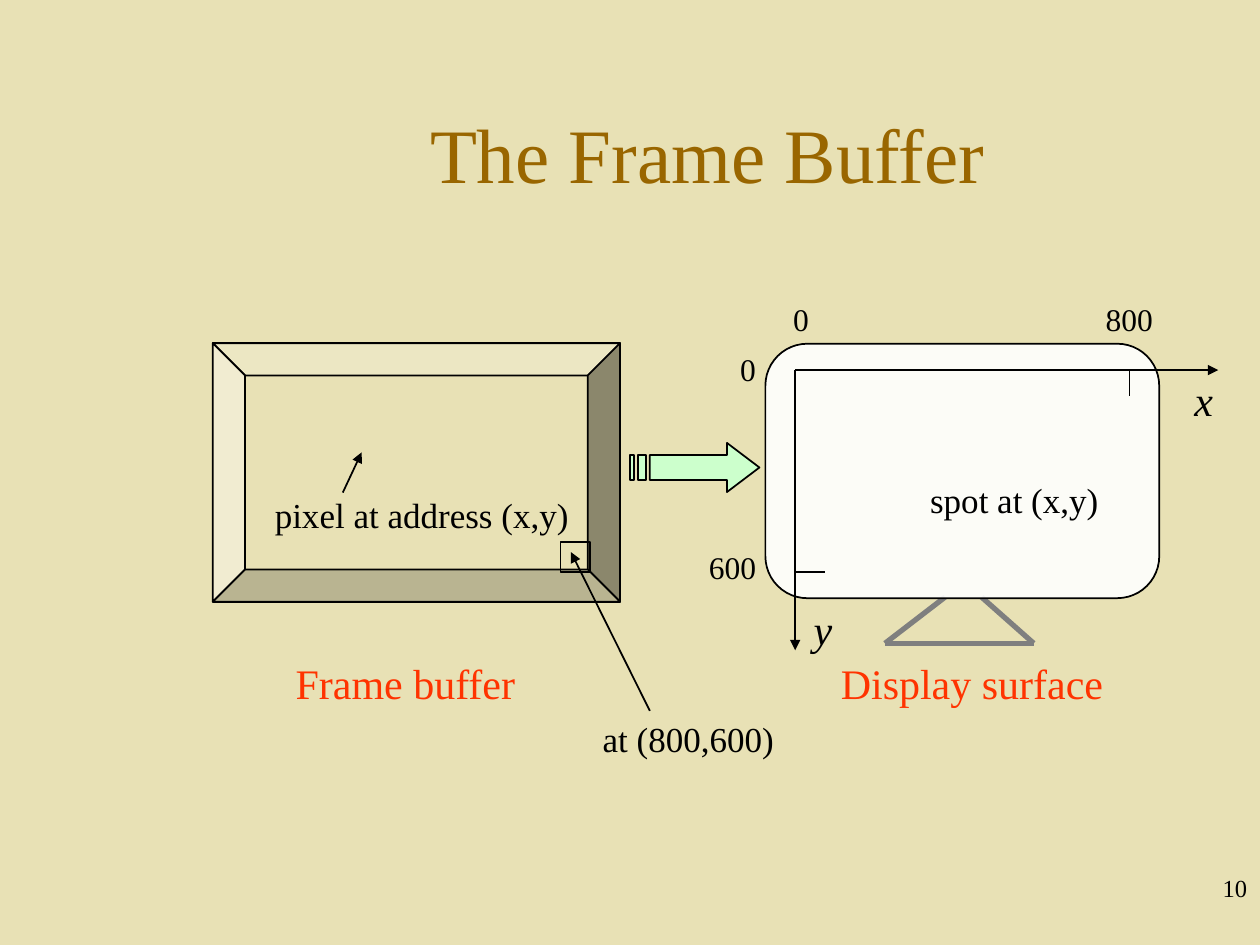
from lxml.etree import SubElement
from pptx import Presentation
from pptx.dml.color import RGBColor
from pptx.enum.shapes import MSO_CONNECTOR, MSO_SHAPE
from pptx.enum.text import PP_ALIGN
from pptx.oxml.ns import qn
from pptx.util import Cm, Pt

COLORS = {
    "background": "E8E1B5", "black": "000000", "title": "996600", "caption": "FF3300",
    "top": "ECE7C3", "right": "8B876C", "bottom": "B9B491", "left": "F1ECD1",
    "stand": "7F7F7F", "screen": "FFFFFF", "arrow": "CCFFCC",
}


def rgb(name):
    return RGBColor.from_string(COLORS[name])


class Diagram:
    font = "Times New Roman"

    def __init__(self, prs):
        self.s = prs.slides.add_slide(prs.slide_layouts[6])
        fill = self.s.background.fill
        fill.solid()
        fill.fore_color.rgb = rgb("background")

    def paint(self, sp, fill=None, alpha=None, line="black", width=1):
        sp.shadow.inherit = False
        sp.line.color.rgb = rgb(line)
        sp.line.width = Pt(width)
        if fill is None:
            sp.fill.background()
            return
        sp.fill.solid()
        sp.fill.fore_color.rgb = rgb(fill)
        if alpha:
            clr = sp.fill._xPr.find(qn("a:solidFill"))[0]
            SubElement(clr, qn("a:alpha"), val=str(alpha * 1000))

    def shape(self, kind, x, y, w, h, fill=None, adj=(), alpha=None):
        sp = self.s.shapes.add_shape(kind, Cm(x), Cm(y), Cm(w), Cm(h))
        for i, value in enumerate(adj):
            sp.adjustments[i] = value
        self.paint(sp, fill, alpha)

    def freeform(self, contours, close=True, **style):
        paths = [[(Cm(x), Cm(y)) for x, y in points] for points in contours]
        fb = self.s.shapes.build_freeform(*paths[0][0], scale=1.0)
        for i, points in enumerate(paths):
            if i:
                fb.move_to(*points[0])
            fb.add_line_segments(points[1:], close=close)
        self.paint(fb.convert_to_shape(), **style)

    def line(self, x1, y1, x2, y2, arrow=False):
        cn = self.s.shapes.add_connector(MSO_CONNECTOR.STRAIGHT, Cm(x1), Cm(y1), Cm(x2), Cm(y2))
        cn.line.color.rgb = rgb("black")
        cn.line.width = Pt(1)
        if arrow:
            SubElement(cn.line._get_or_add_ln(), qn("a:tailEnd"), type="triangle", w="med", len="med")
        SubElement(cn._element.spPr, qn("a:effectLst"))

    def text(self, x, y, w, h, *paragraphs, top=0.03):
        tf = self.s.shapes.add_textbox(Cm(x), Cm(y), Cm(w), Cm(h)).text_frame
        frame = {"word_wrap": True, "margin_left": Cm(0.03), "margin_right": 0,
                 "margin_top": Cm(top), "margin_bottom": 0}
        for name, value in frame.items():
            setattr(tf, name, value)
        for i, (words, size, color, layout, italic) in enumerate(paragraphs):
            p = tf.add_paragraph() if i else tf.paragraphs[0]
            for name, value in layout.items():
                setattr(p, name, value)
            r = p.add_run()
            r.text = words
            style = {"name": self.font, "size": Pt(size), "italic": italic}
            for name, value in style.items():
                setattr(r.font, name, value)
            r.font.color.rgb = rgb(color)

    def label(self, x, y, w, h, words, size, color="black", italic=False):
        self.text(x, y, w, h, (words, size, color, {}, italic))


def frame_buffer(d):
    x1, y1, x2, y2, inset = 4.29, 6.92, 12.5, 12.13, 0.65
    outer = [(x1, y1), (x2, y1), (x2, y2), (x1, y2)]
    inner = [(x1 + inset, y1 + inset), (x2 - inset, y1 + inset),
             (x2 - inset, y2 - inset), (x1 + inset, y2 - inset)]
    d.freeform([outer])
    for i, side in enumerate(("top", "right", "bottom", "left")):
        j = (i + 1) % 4
        d.freeform([[outer[i], outer[j], inner[j], inner[i]]], fill=side)
    d.line(6.91, 9.93, 7.29, 9.12, arrow=True)
    d.shape(MSO_SHAPE.RECTANGLE, 11.3, 10.92, 0.6, 0.61)
    d.line(13.1, 14.33, 11.51, 11.13, arrow=True)


def transfer_arrow(d):
    for x, w in ((12.7, 0.08), (12.86, 0.16)):
        d.shape(MSO_SHAPE.RECTANGLE, x, 9.17, w, 0.51, "arrow")
    d.shape(MSO_SHAPE.RIGHT_ARROW, 13.1, 8.93, 2.21, 0.99, "arrow", (0.51, 0.66))


def display(d):
    left, right, base, top = 17.84, 20.84, 12.97, 12.04
    d.freeform([[(19.05, top), (left, base)], [(19.79, top), (right, base)],
                [(left, base), (right, base)]], close=False, line="stand", width=3)
    d.shape(MSO_SHAPE.ROUNDED_RECTANGLE, 15.43, 6.93, 7.94, 5.13, "screen", (0.165,), 90)
    x0, y0 = 16.03, 7.46
    d.line(x0, y0, 24.56, y0, arrow=True)
    d.line(x0, y0, x0, 13.11, arrow=True)
    d.line(22.77, y0, 22.77, 7.98)
    d.line(x0, 11.53, 16.63, 11.53)


def labels(d):
    d.label(8.64, 2.11, 11.28, 1.93, "The Frame Buffer", 44, "title")
    d.label(24.05, 7.52, 0.46, 1.09, "x", 24, italic=True)
    for x, y, w, words in ((14.89, 7.03, 0.4, "0"), (15.96, 6.02, 0.4, "0"), (22.26, 6.02, 1.02, "800")):
        d.label(x, y, w, 0.84, words, 18)
    d.text(14.26, 10.74, 2.52, 2.49,
           ("600", 18, "black", {}, False),
           ("y", 24, "black", {"alignment": PP_ALIGN.RIGHT, "space_before": Pt(10.4)}, True),
           top=0.3)
    for x, w, words in ((16.92, 5.36, "Display surface"), (5.93, 4.5, "Frame buffer")):
        d.label(x, 13.22, w, 1.09, words, 24, "caption")
    for x, y, w, words in ((5.51, 9.92, 6.1, "pixel at address (x,y)"),
                           (18.72, 9.61, 3.56, "spot at (x,y)"),
                           (12.12, 14.43, 3.6, "at (800,600)")):
        d.label(x, y, w, 0.91, words, 20)
    d.label(24.62, 17.57, 0.71, 0.61, "10", 14)


def main():
    prs = Presentation()
    prs.slide_width, prs.slide_height = Cm(25.4), Cm(19.05)
    d = Diagram(prs)
    for draw in (frame_buffer, transfer_arrow, display, labels):
        draw(d)
    prs.save("out.pptx")


if __name__ == "__main__":
    main()
